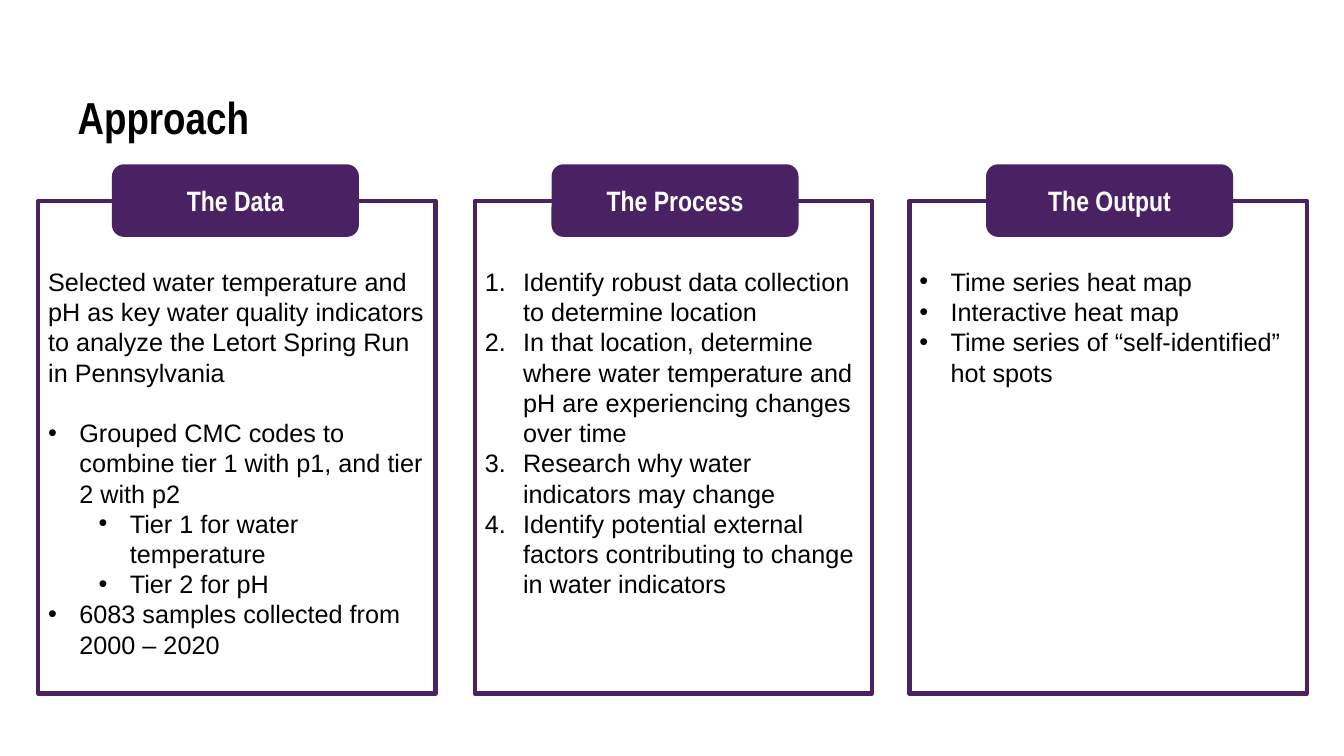
from pptx import Presentation
from pptx.dml.color import RGBColor
from pptx.enum.shapes import MSO_SHAPE
from pptx.enum.text import MSO_ANCHOR, PP_ALIGN
from pptx.oxml.ns import qn
from pptx.util import Pt
from lxml.etree import SubElement

PX = 9144  # 100 px to the inch
PURPLE = RGBColor(0x4A, 0x22, 0x64)
BLACK = RGBColor(0, 0, 0)
WHITE = RGBColor(255, 255, 255)

HEAD = dict(name="Arial Narrow", size=Pt(32), bold=True, color=BLACK)
TAB = dict(name="Arial Narrow", size=Pt(20), bold=True, color=WHITE)
BODY = dict(name="Arial", size=Pt(18), bold=False, color=BLACK)

# mark: (level, left margin, hanging indent, bullet tag, bullet attributes)
PLAIN = (0, 0, 0, "a:buNone", {})
DOT = (0, 31, 31, "a:buChar", {"char": "•"})
SUB = (1, 81, 31, "a:buChar", {"char": "•"})
NUM = (0, 38, 38, "a:buAutoNum", {"type": "arabicPeriod"})

# column: left edge, tab offset, title, lines of (mark, gap before in pt, text)
COLUMNS = [
    (38, 73, "The Data", [
        (PLAIN, 0, "Selected water temperature and pH as key water quality "
                   "indicators to analyze the Letort Spring Run in Pennsylvania"),
        (DOT, 21.6, "Grouped CMC codes to combine tier 1 with p1, and tier 2 with p2"),
        (SUB, 0, "Tier 1 for water temperature"),
        (SUB, 0, "Tier 2 for pH"),
        (DOT, 0, "6083 samples collected from 2000 – 2020"),
    ]),
    (471, 76, "The Process", [
        (NUM, 0, "Identify robust data collection to determine location"),
        (NUM, 0, "In that location, determine where water temperature and pH "
                 "are experiencing changes over time"),
        (NUM, 0, "Research why water indicators may change"),
        (NUM, 0, "Identify potential external factors contributing to change "
                 "in water indicators"),
    ]),
    (902, 76, "The Output", [
        (DOT, 0, "Time series heat map"),
        (DOT, 0, "Interactive heat map"),
        (DOT, 0, "Time series of “self-identified” hot spots"),
    ]),
]


def style(para, look):
    for key, value in look.items():
        if key == "color":
            para.font.color.rgb = value
        else:
            setattr(para.font, key, value)


def frame(shape, pads, anchor):
    """Set wrapping, anchor and the left, top, right, bottom insets."""
    text = shape.text_frame
    text.word_wrap = True
    text.vertical_anchor = anchor
    for side, pad in zip(("left", "top", "right", "bottom"), pads):
        setattr(text, "margin_" + side, pad * PX)
    return text


def block(slide, kind, box, fill):
    shape = slide.shapes.add_shape(kind, *(n * PX for n in box))
    shape.shadow.inherit = False
    shape.fill.solid()
    shape.fill.fore_color.rgb = fill
    shape.line.color.rgb = PURPLE
    return shape


def mark_up(para, mark):
    level, left, hang, tag, attrs = mark
    para.level = level
    props = para._p.get_or_add_pPr()
    props.set("marL", str(left * PX))
    props.set("indent", str(-hang * PX))
    if tag == "a:buChar":
        SubElement(props, qn("a:buFont")).set("typeface", "Arial")
    SubElement(props, qn(tag), attrs)


def title(slide, box, words):
    shape = slide.shapes.add_textbox(*(n * PX for n in box))
    para = frame(shape, (0, 0, 0, 0), MSO_ANCHOR.BOTTOM).paragraphs[0]
    para.text = words
    style(para, HEAD)


def panel(slide, box, lines):
    shape = block(slide, MSO_SHAPE.RECTANGLE, box, WHITE)
    shape.line.width = Pt(3)
    text = frame(shape, (10, 65, 10, 5), MSO_ANCHOR.TOP)
    for i, (mark, gap, words) in enumerate(lines):
        para = text.add_paragraph() if i else text.paragraphs[0]
        para.text = words
        mark_up(para, mark)
        para.alignment = PP_ALIGN.LEFT
        if gap:
            para.space_before = Pt(gap)
        style(para, BODY)


def tab(slide, box, words):
    shape = block(slide, MSO_SHAPE.FLOWCHART_ALTERNATE_PROCESS, box, PURPLE)
    shape.line.fill.background()
    para = frame(shape, (10, 5, 10, 5), MSO_ANCHOR.MIDDLE).paragraphs[0]
    para.text = words
    para.alignment = PP_ALIGN.CENTER
    style(para, TAB)


def column(slide, box, shift, name, lines):
    left, top, wide, high = box
    panel(slide, box, lines)
    tab(slide, (left + shift, top - 36, 245, 72), name)


def main():
    deck = Presentation()
    deck.slide_width, deck.slide_height = 1333 * PX, 750 * PX
    slide = deck.slides.add_slide(deck.slide_layouts[6])
    title(slide, (77, 62, 1208, 80), "Approach")
    for left, shift, name, lines in COLUMNS:
        column(slide, (left, 199, 394, 489), shift, name, lines)
    deck.save("out.pptx")


if __name__ == "__main__":
    main()
